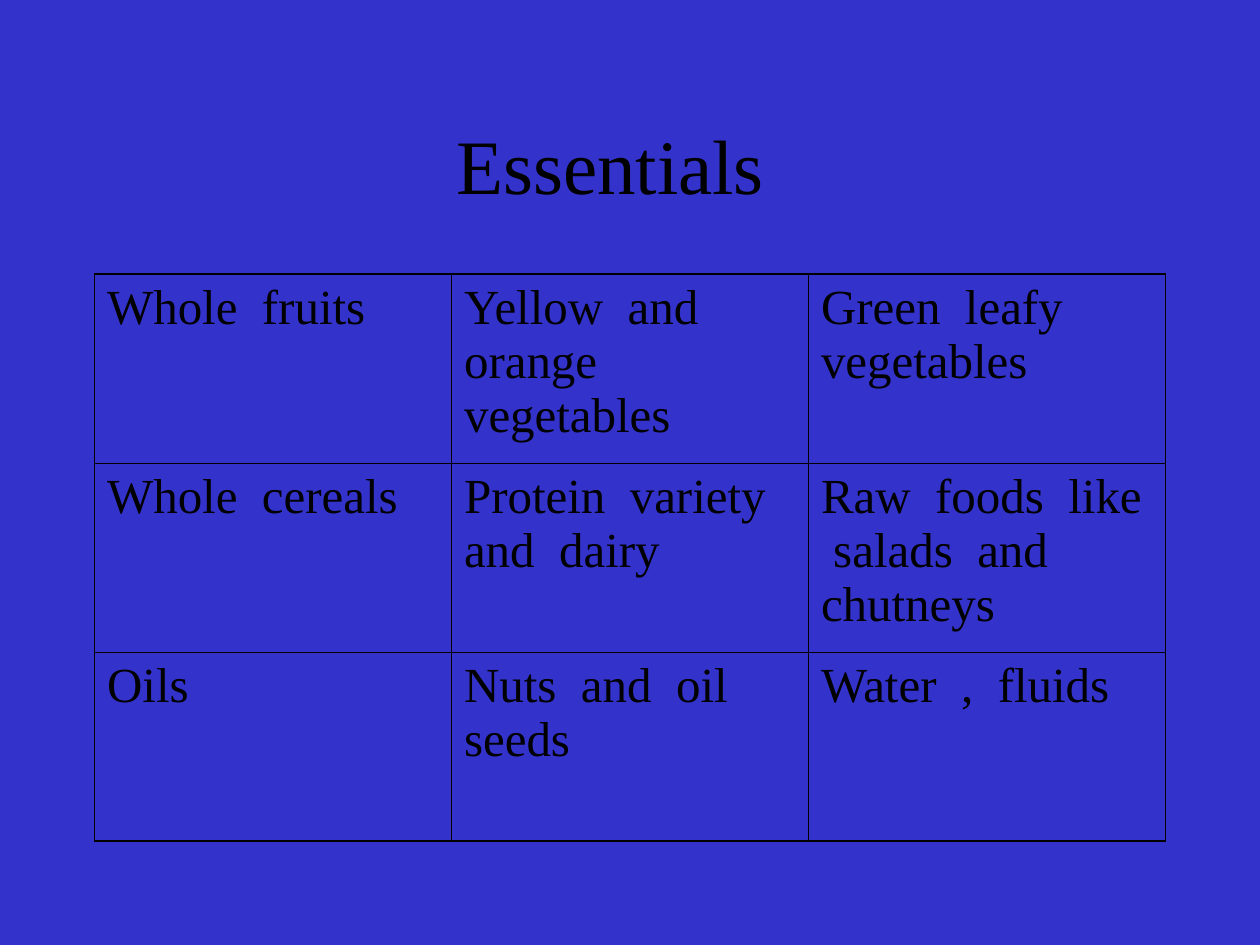
from dataclasses import dataclass

from lxml import etree
from pptx import Presentation
from pptx.dml.color import RGBColor
from pptx.enum.text import MSO_ANCHOR, PP_ALIGN
from pptx.oxml.ns import qn
from pptx.util import Inches, Pt

CENTER, LEFT = PP_ALIGN.CENTER, PP_ALIGN.LEFT
MIDDLE, TOP = MSO_ANCHOR.MIDDLE, MSO_ANCHOR.TOP

BACKGROUND = RGBColor(0x33, 0x33, 0xCC)
BLACK = RGBColor(0x00, 0x00, 0x00)
FONT = "Times New Roman"

SLIDE_WIDTH, SLIDE_HEIGHT = Inches(10), Inches(7.5)
OUTER_LINE, INNER_LINE = Pt(1.08), Pt(0.45)

ESSENTIALS = [
    ["Whole  fruits", "Yellow  and  orange  vegetables", "Green  leafy  vegetables"],
    ["Whole  cereals", "Protein  variety  and  dairy", "Raw  foods  like  salads  and  chutneys"],
    ["Oils", "Nuts  and  oil  seeds", "Water  ,  fluids"],
]


@dataclass(frozen=True)
class Area:
    """A rectangle given as shares of the slide's width and height."""
    left: float
    top: float
    width: float
    height: float

    def lengths(self) -> tuple[int, int, int, int]:
        return (
            int(self.left * SLIDE_WIDTH),
            int(self.top * SLIDE_HEIGHT),
            int(self.width * SLIDE_WIDTH),
            int(self.height * SLIDE_HEIGHT),
        )


TITLE_AREA = Area(0.075, 0.09, 0.85, 1 / 6)
TABLE_AREA = Area(0.075, 0.29, 0.85, 0.6)


def write_text(frame, text: str, *, size: float, align=LEFT, color=BLACK) -> None:
    frame.word_wrap = True
    paragraph = frame.paragraphs[0]
    paragraph.alignment = align
    run = paragraph.add_run()
    run.text = text
    run.font.name = FONT
    run.font.size = Pt(size)
    run.font.color.rgb = color


def add_border(cell, side: str, width: int) -> None:
    properties = cell._tc.get_or_add_tcPr()
    line = etree.SubElement(properties, qn(f"a:ln{side}"), w=str(width))
    fill = etree.SubElement(line, qn("a:solidFill"))
    etree.SubElement(fill, qn("a:srgbClr"), val=str(BLACK))


def add_title(slide, text: str) -> None:
    title = slide.shapes.add_textbox(*TITLE_AREA.lengths())
    frame = title.text_frame
    frame.vertical_anchor = MIDDLE
    frame.margin_right = Inches(0.41)
    write_text(frame, text, size=44, align=CENTER)


def add_grid(slide, rows: list[list[str]]) -> None:
    """Draw a table of equal cells with a heavier outer frame."""
    last_row, last_column = len(rows) - 1, len(rows[0]) - 1
    table = slide.shapes.add_table(len(rows), len(rows[0]), *TABLE_AREA.lengths()).table
    table.first_row = False
    table.horz_banding = False
    for row, texts in enumerate(rows):
        for column, text in enumerate(texts):
            cell = table.cell(row, column)
            outer_sides = {
                "L": column == 0,
                "R": column == last_column,
                "T": row == 0,
                "B": row == last_row,
            }
            for side, is_outer in outer_sides.items():
                add_border(cell, side, OUTER_LINE if is_outer else INNER_LINE)
            cell.fill.background()
            cell.vertical_anchor = TOP
            write_text(cell.text_frame, text, size=28)


def main() -> None:
    presentation = Presentation()
    presentation.slide_width, presentation.slide_height = SLIDE_WIDTH, SLIDE_HEIGHT
    slide = presentation.slides.add_slide(presentation.slide_layouts[6])
    slide.background.fill.solid()
    slide.background.fill.fore_color.rgb = BACKGROUND
    add_title(slide, "Essentials")
    add_grid(slide, ESSENTIALS)
    presentation.save("out.pptx")


if __name__ == "__main__":
    main()
